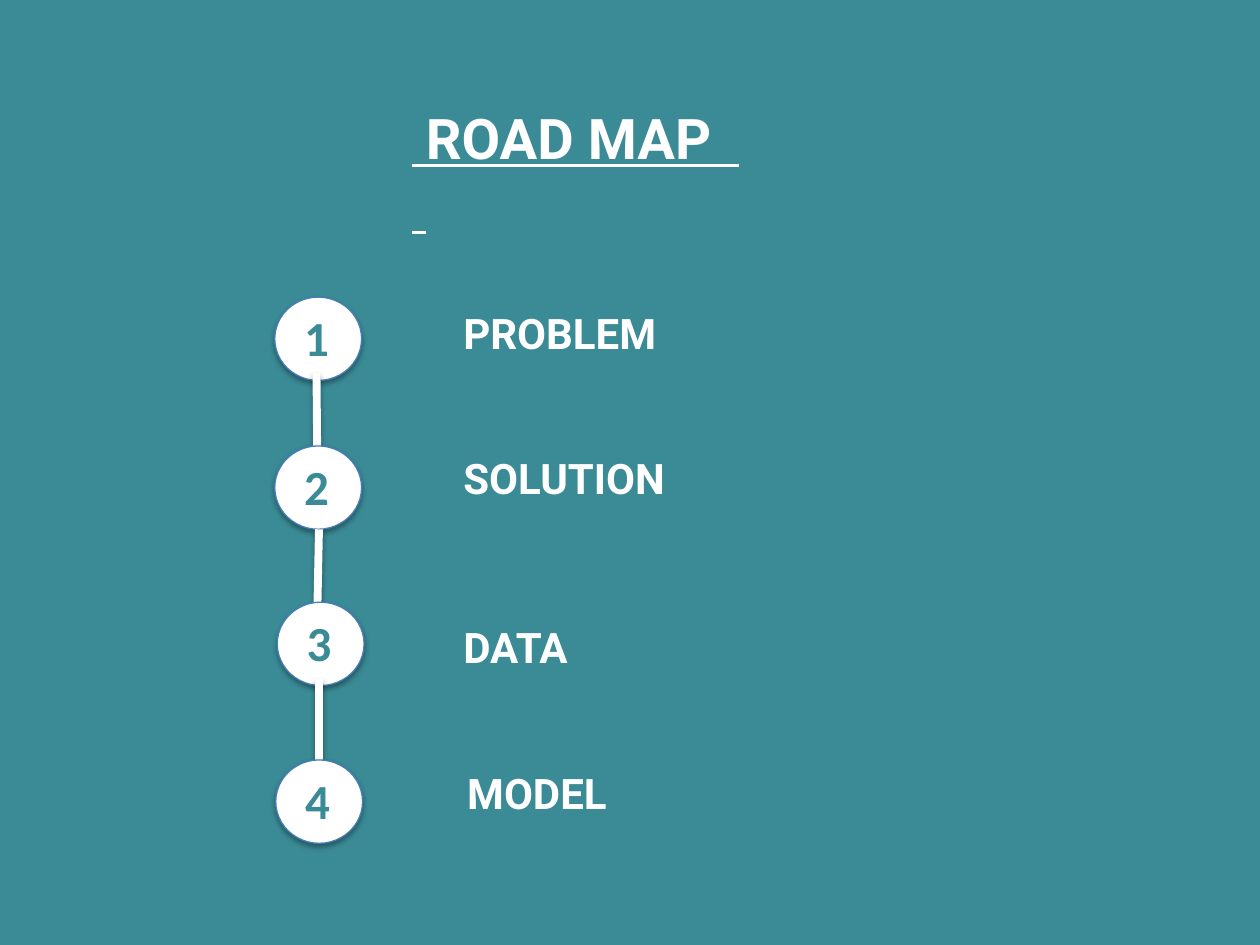
from dataclasses import dataclass

from pptx import Presentation
from pptx.dml.color import RGBColor
from pptx.enum.shapes import MSO_CONNECTOR, MSO_SHAPE
from pptx.enum.text import MSO_ANCHOR, MSO_AUTO_SIZE, PP_ALIGN
from pptx.util import Cm, Pt

RECT, OVAL = MSO_SHAPE.RECTANGLE, MSO_SHAPE.OVAL
LINE = MSO_CONNECTOR.STRAIGHT
TOP, LEFT = MSO_ANCHOR.TOP, PP_ALIGN.LEFT
FIXED = MSO_AUTO_SIZE.NONE


@dataclass(frozen=True)
class Theme:
    teal: RGBColor = RGBColor(0x3A, 0x8B, 0x96)
    white: RGBColor = RGBColor(0xFF, 0xFF, 0xFF)
    rim: RGBColor = RGBColor(0x4A, 0x7D, 0xBA)
    head: str = "Roboto"
    digit: str = "Calibri"
    title: int = 32
    number: int = 28
    label: int = 24


THEME = Theme()
WIDTH, HEIGHT = 25.4, 19.05

# Label, circle left and top, label left and top (cm)
STEPS = [
    ("PROBLEM", 5.54, 5.99, 9.09, 6.07),
    ("SOLUTION", 5.54, 8.99, 9.09, 8.99),
    ("DATA", 5.59, 12.14, 9.09, 12.4),
    ("MODEL", 5.56, 15.32, 9.17, 15.34),
]
# Start and end of the link below each step but the last (cm)
LINKS = [
    (6.38, 7.52, 6.4, 9.75),
    (6.43, 10.67, 6.4, 12.17),
    (6.43, 13.69, 6.43, 15.32),
]


def style(frame, font, size, color, underline=None):
    frame.word_wrap = True
    frame.auto_size = FIXED
    frame.vertical_anchor = TOP
    for para in frame.paragraphs:
        para.alignment = LEFT
        for run in para.runs:
            run.font.name = font
            run.font.size = Pt(size)
            run.font.bold = True
            run.font.underline = underline
            run.font.color.rgb = color


def add_text(slide, text, box, font, size, color):
    frame = slide.shapes.add_textbox(*map(Cm, box)).text_frame
    frame.text = text
    style(frame, font, size, color)


def add_shape(slide, kind, box, fill, line):
    """Add a filled shape that keeps the soft shadow of the theme."""
    shape = slide.shapes.add_shape(kind, *map(Cm, box))
    shape.fill.solid()
    shape.fill.fore_color.rgb = fill
    shape.line.color.rgb = line
    shape.line.width = Pt(0.75)
    return shape


def add_link(slide, ends):
    link = slide.shapes.add_connector(LINE, *map(Cm, ends))
    link.line.color.rgb = THEME.white
    link.line.width = Pt(4.5)


def add_back(slide):
    """Put the teal panel behind everything, the title included."""
    panel = add_shape(slide, RECT, (0, 0, WIDTH, HEIGHT), THEME.teal, THEME.teal)
    slide.shapes.element.insert(2, panel.element)


def set_title(slide):
    """The underlined spaces show as part of the rule under the title."""
    title = slide.shapes.title
    title.left, title.top = Cm(8.05), Cm(1.96)
    title.width, title.height = Cm(7.14), Cm(1.63)
    title.text_frame.text = " ROAD MAP  \n "
    style(title.text_frame, THEME.head, THEME.title, THEME.white, True)


def add_step(slide, num, x, y):
    add_shape(slide, OVAL, (x, y, 1.75, 1.68), THEME.white, THEME.rim)
    add_text(slide, str(num), (x + 0.34, y + 0.09, 0.56, 1.45),
             THEME.digit, THEME.number, THEME.teal)


def main():
    deck = Presentation()
    deck.slide_width, deck.slide_height = Cm(WIDTH), Cm(HEIGHT)
    slide = deck.slides.add_slide(deck.slide_layouts[5])
    add_back(slide)
    set_title(slide)
    for num, (label, x, y, left, top) in enumerate(STEPS, 1):
        add_step(slide, num, x, y)
        if num <= len(LINKS):
            add_link(slide, LINKS[num - 1])
        add_text(slide, label, (left, top, 10.46, 1.27),
                 THEME.head, THEME.label, THEME.white)
    deck.save("out.pptx")


if __name__ == "__main__":
    main()
